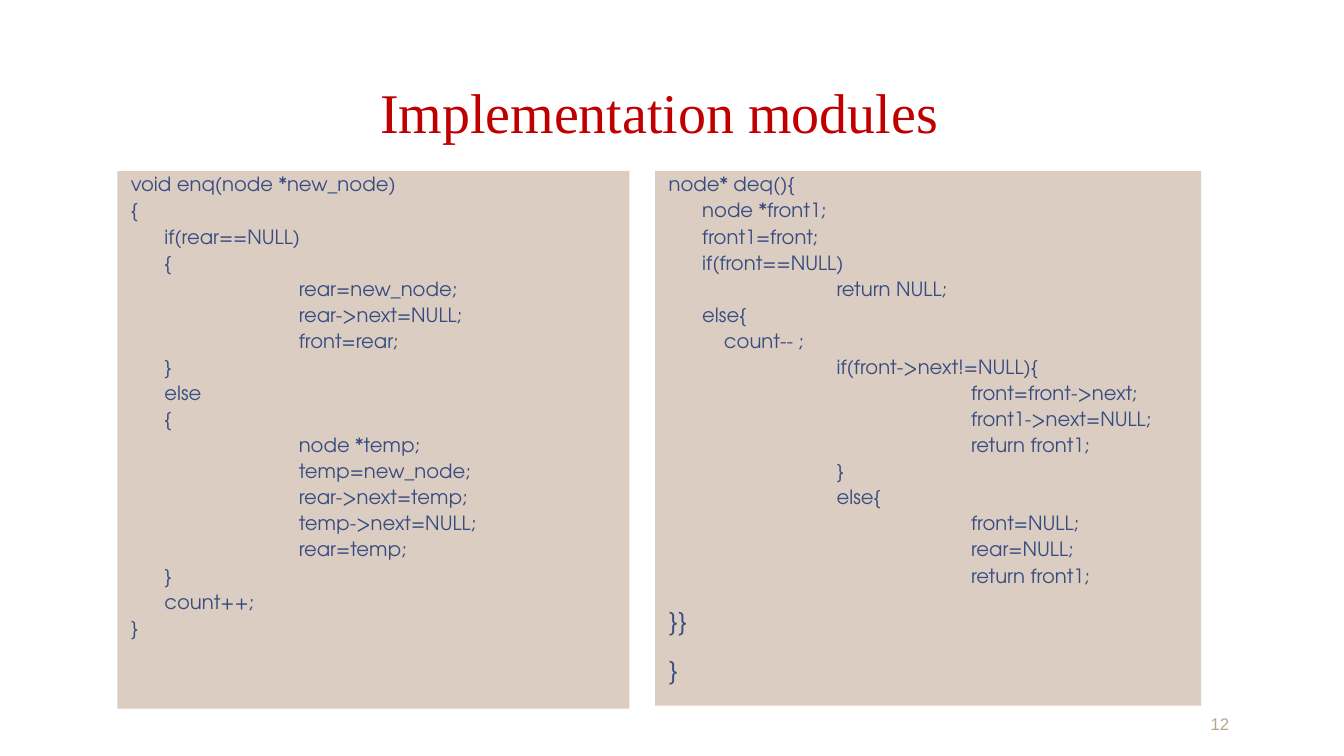
"""Build the slide on the enqueue and dequeue modules of a linked queue."""
from pptx import Presentation
from pptx.dml.color import RGBColor
from pptx.enum.shapes import MSO_SHAPE
from pptx.enum.text import MSO_ANCHOR, PP_ALIGN
from pptx.util import Pt

RECT = MSO_SHAPE.RECTANGLE
TOP, BOTTOM = MSO_ANCHOR.TOP, MSO_ANCHOR.BOTTOM
LEFT, CENTER, RIGHT = PP_ALIGN.LEFT, PP_ALIGN.CENTER, PP_ALIGN.RIGHT
RED = RGBColor(0xC0, 0x00, 0x00)
NAVY = RGBColor(0x37, 0x4C, 0x81)
BEIGE = RGBColor(0xDC, 0xCD, 0xC2)
TAN = RGBColor(0xB5, 0xA7, 0x88)

ENQ = """void enq(node *new_node)
{
\tif(rear==NULL)
\t{
\t\trear=new_node;
\t\trear->next=NULL;
\t\tfront=rear;
\t}
\telse
\t{
\t\tnode *temp;
\t\ttemp=new_node;
\t\trear->next=temp;
\t\ttemp->next=NULL;
\t\trear=temp;
\t}
\tcount++;
}"""
DEQ = """node* deq(){
\tnode *front1;
\tfront1=front;
\tif(front==NULL)
\t\treturn NULL;
\telse{
\t    count-- ;
\t\tif(front->next!=NULL){
\t\t\tfront=front->next;
\t\t\tfront1->next=NULL;
\t\t\treturn front1;
\t\t}
\t\telse{
\t\t\tfront=NULL;
\t\t\trear=NULL;
\t\t\treturn front1;"""
DEQ_END = """}}
}"""


def add_text(tf, text, *, size, font, color, align=LEFT, anchor=TOP,
             spacing=1.0, before=0, code=False):
    """Append the lines of text to a text frame."""
    tf.word_wrap = True
    tf.vertical_anchor = anchor
    tf.margin_left = tf.margin_right = Pt(9.6)
    tf.margin_top = tf.margin_bottom = Pt(4.8)
    for line in text.split("\n"):
        first = not tf.text
        p = tf.paragraphs[0] if first else tf.add_paragraph()
        p.alignment = align
        p.line_spacing = spacing
        p.space_before = Pt(0 if first else before)
        if code:
            pPr = p._p.get_or_add_pPr()
            pPr.set("marL", str(Pt(24)))
            pPr.set("indent", str(-Pt(24)))
            pPr.set("defTabSz", str(Pt(96)))
        r = p.add_run()
        r.text = line
        r.font.size = Pt(size)
        r.font.name = font
        r.font.color.rgb = color


prs = Presentation()
prs.slide_width, prs.slide_height = Pt(960), Pt(540)
s = prs.slides.add_slide(prs.slide_layouts[6])

panels = [
    (83.8, 365.8, 384, [(ENQ, 14, 6)]),
    (468, 390, 381.8, [(DEQ, 14, 6), (DEQ_END, 18, 18.7)]),
]
for x, width, height, parts in panels:
    sp = s.shapes.add_shape(RECT, Pt(x), Pt(122.2), Pt(width), Pt(height))
    sp.shadow.inherit = False
    sp.fill.solid()
    sp.fill.fore_color.rgb = BEIGE
    sp.line.fill.background()
    for text, size, before in parts:
        add_text(sp.text_frame, text, size=size, font="TeX Gyre Adventor",
                 color=NAVY, spacing=0.75, before=before, code=True)

sp = s.shapes.add_textbox(Pt(800.6), Pt(504), Pt(87), Pt(25.2))
add_text(sp.text_frame, "12", size=12, font="Arial", color=TAN,
         align=RIGHT, anchor=BOTTOM)

sp = s.shapes.add_textbox(Pt(175.6), Pt(18), Pt(590.4), Pt(90))
add_text(sp.text_frame, "Implementation modules", size=40,
         font="Times New Roman", color=RED, align=CENTER, anchor=BOTTOM,
         spacing=0.85)

prs.save("out.pptx")
